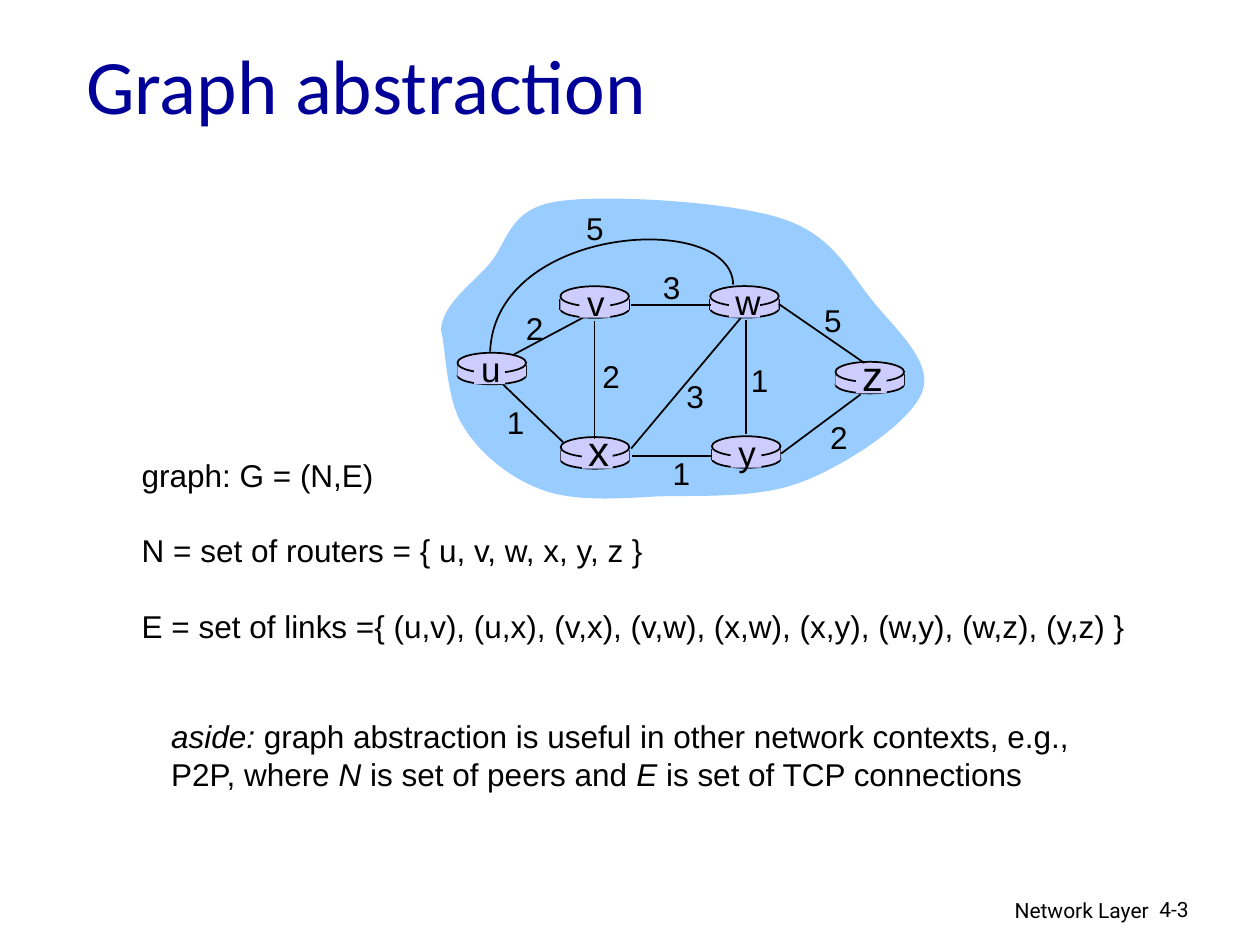
from dataclasses import dataclass
from lxml.etree import SubElement
from pptx import Presentation
from pptx.dml.color import RGBColor as RGB
from pptx.enum.shapes import MSO_CONNECTOR as Conn, MSO_SHAPE as Shape
from pptx.enum.text import MSO_ANCHOR as Anchor, PP_ALIGN as Align
from pptx.oxml.ns import qn
from pptx.util import Pt


@dataclass(frozen=True)
class Theme:
    ink: RGB = RGB(0, 0, 0)
    title: RGB = RGB(0x00, 0x00, 0x99)
    cloud: RGB = RGB(0x99, 0xCC, 0xFF)
    router: RGB = RGB(0xCC, 0xCC, 0xFF)
    body_font: str = "Arial"
    title_font: str = "Calibri"
    footer_font: str = "Roboto"
    title_size: int = 44
    body_size: int = 18
    footer_size: int = 12
    line: float = 1


T = Theme()

CLOUD = [
    (252, 188.6),
    (252.7, 174.2), (268.6, 163.4), (279.4, 151.2),
    (290.2, 139), (290.2, 119.5), (318.2, 115.2),
    (345.6, 110.9), (416.2, 115.2), (445.7, 124.6),
    (475.9, 133.9), (484.6, 154.8), (498.2, 171.4),
    (511.2, 187.9), (533.5, 206.6), (527, 223.9),
    (520.6, 241.2), (484.6, 265), (459.4, 275),
    (434.2, 285.1), (401, 283), (375.8, 283.7),
    (351.4, 285.1), (328.3, 286.6), (310.3, 280.1),
    (291.6, 273.6), (274.3, 259.2), (265, 244.1),
    (254.9, 229), (254.9, 200.2), (252, 188.6),
]
ARC_UW = [(419, 162.7), (418.3, 120.2), (283, 128.2), (280.1, 200.9)]

ROUTERS = [
    ("u", 261.4, 201.6, 280.5, 20),
    ("x", 320.4, 249.8, 342, 24),
    ("v", 320.2, 163.6, 340.5, 20),
    ("w", 405.8, 163.5, 426.1, 20),
    ("y", 406.8, 249.3, 427, 20),
    ("z", 477.4, 206.8, 498.6, 24),
]
LINKS = [
    (293.8, 202.5, 337, 179.5),
    (426.2, 182.9, 426.2, 248),
    (339.8, 183.6, 339.8, 250.6),
    (360.7, 256.3, 423.4, 181.6),
    (446.4, 259.2, 491.8, 225.4),
    (406.8, 260.4, 361.4, 260.4),
    (321.8, 252.7, 287.3, 219.6),
    (406.1, 174.2, 360.7, 174.2),
    (493.9, 207.4, 445, 173.7),
]
COSTS = [
    ("2", 293.3, 172.8), ("2", 337, 200.2), ("1", 282.4, 226.8), ("3", 385, 211.7),
    ("1", 377.1, 256), ("1", 421.9, 202.5), ("2", 467.1, 235.4), ("5", 463.7, 168.5),
    ("3", 371.5, 149.8), ("5", 327.7, 116.1),
]
DEFINITIONS = [
    [("graph: G = (N,E)", False)],
    [("N = set of routers = { u, v, w, x, y, z }", False)],
    [("E = set of links ={ (u,v), (u,x), (v,x), (v,w), (x,w), (x,y), (w,y), (w,z), (y,z) }", False)],
]
ASIDE = [
    [("aside:", True), (" graph abstraction is useful in other network contexts, e.g.,", False)],
    [("P2P, where ", False), ("N", True), (" is set of peers and ", False),
     ("E", True), (" is set of TCP connections", False)],
]


def apply(obj, **values):
    for name, value in values.items():
        setattr(obj, name, value)


def paint(sp, fill=None, line=None):
    sp.shadow.inherit = False
    if fill is None:
        sp.fill.background()
    else:
        sp.fill.solid()
        sp.fill.fore_color.rgb = fill
    if line is None:
        sp.line.fill.background()
    else:
        sp.line.color.rgb = line
        sp.line.width = Pt(T.line)


def add_text(s, box, paragraphs, size=T.body_size, font=T.body_font, color=T.ink,
             align=Align.LEFT, anchor=Anchor.TOP, wrap=False, gap=0, leading=1.2):
    tf = s.shapes.add_textbox(*map(Pt, box)).text_frame
    apply(tf, word_wrap=wrap, vertical_anchor=anchor)
    for i, runs in enumerate(paragraphs):
        p = tf.add_paragraph() if i else tf.paragraphs[0]
        p.alignment = align
        if leading:
            p.line_spacing = Pt(size * leading)
        if i and gap:
            p.space_before = Pt(gap)
        for text, italic in runs:
            r = p.add_run()
            r.text = text
            apply(r.font, name=font, size=Pt(size), italic=italic)
            r.font.color.rgb = color


def add_preset(s, kind, x, y, w, h, line=None):
    sp = s.shapes.add_shape(kind, Pt(x), Pt(y), Pt(w), Pt(h))
    paint(sp, T.router, line)


def add_edge(s, x1, y1, x2, y2):
    c = s.shapes.add_connector(Conn.STRAIGHT, Pt(x1), Pt(y1), Pt(x2), Pt(y2))
    c.line.color.rgb = T.ink
    c.line.width = Pt(T.line)
    SubElement(c._element.spPr, qn("a:effectLst"))


def add_outline(s, knots, close=False, fill=None, line=None):
    fb = s.shapes.build_freeform(*map(Pt, knots[0]))
    fb.add_line_segments([(Pt(x), Pt(y)) for x, y in knots[1:]], close=close)
    sp = fb.convert_to_shape()
    paint(sp, fill, line)
    return sp


def add_curve(s, knots, **style):
    sp = add_outline(s, knots, **style)
    segments = list(sp._element.iter(qn("a:lnTo")))
    for i in range(0, len(segments), 3):
        curve = segments[i]
        curve.tag = qn("a:cubicBezTo")
        for other in segments[i + 1:i + 3]:
            curve.append(other[0])
            other.getparent().remove(other)


def add_router(s, x, y):
    w = 39.2
    add_preset(s, Shape.OVAL, x, y + 8, w, 10, T.ink)
    for edge in (x, x + w):
        add_edge(s, edge, y + 7.2, edge, y + 13.5)
    add_preset(s, Shape.RECTANGLE, x, y + 7.2, w, 6.3)
    add_preset(s, Shape.OVAL, x, y, w, 11.5, T.ink)


def add_router_name(s, name, y, center, size):
    add_preset(s, Shape.RECTANGLE, center - 9.5, y + 1.4, 17.6, 16.6)
    top = y - (10.5 if size > 20 else 6.5)
    add_text(s, (center - 13, top, 26, size * 1.2 + 7.2), [[(name, False)]], size,
             align=Align.CENTER)


def add_footer(s, box, text, align):
    add_text(s, box, [[(text, False)]], T.footer_size, T.footer_font,
             align=align, wrap=True, leading=None)


def main():
    prs = Presentation()
    apply(prs, slide_width=Pt(720), slide_height=Pt(540))
    s = prs.slides.add_slide(prs.slide_layouts[6])
    add_footer(s, (435.6, 509.2, 228, 22), "Network Layer", Align.RIGHT)
    add_footer(s, (655.4, 509, 53.3, 22), "4-3", Align.LEFT)
    add_curve(s, CLOUD, close=True, fill=T.cloud)
    for _, x, y, _, _ in ROUTERS:
        add_router(s, x, y)
    for x1, y1, x2, y2 in LINKS:
        add_outline(s, [(x1, y1), (x2, y2)], line=T.ink)
    add_curve(s, ARC_UW, line=T.ink)
    for name, _, y, center, size in ROUTERS:
        add_router_name(s, name, y, center, size)
    for cost, x, y in COSTS:
        add_text(s, (x, y, 24.5, 28.8), [[(cost, False)]], align=Align.CENTER)
    add_text(s, (73.9, 257, 582.5, 115.2), DEFINITIONS, gap=21.6)
    add_text(s, (42.2, 16.6, 612, 62.6), [[("Graph abstraction", False)]], T.title_size,
             T.title_font, T.title, anchor=Anchor.MIDDLE, wrap=True, leading=None)
    add_text(s, (90.7, 406.2, 532.8, 50.4), ASIDE, leading=1.21)
    prs.save("out.pptx")


if __name__ == "__main__":
    main()
